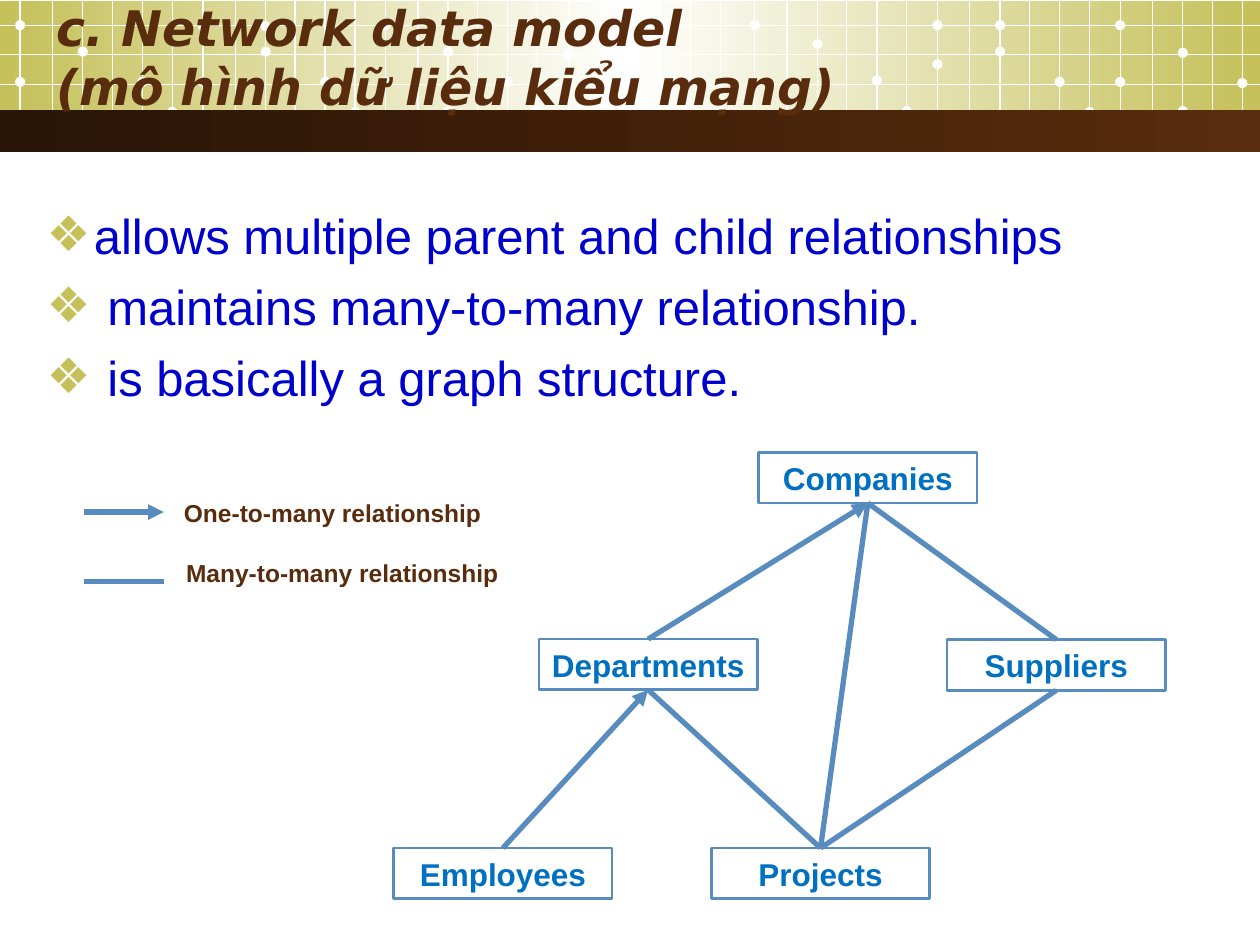
from dataclasses import dataclass

from lxml import etree
from pptx import Presentation
from pptx import util as u
from pptx.dml import color
from pptx.enum import shapes, text
from pptx.oxml import ns

Pt = u.Pt


@dataclass(frozen=True)
class Theme:
    """Colours, fonts and sizes of the slide."""
    olive: str = "C5C059"
    white: str = "FFFFFF"
    dark: str = "291406"
    brown: str = "592C0D"
    bullet_text: str = "0000CC"
    steel: str = "588CBF"
    node_text: str = "0070C0"
    heading_font: str = "DejaVu Sans"
    body_font: str = "Arial"
    large: int = 28
    medium: int = 18
    small: int = 14


THEME = Theme()

TITLE = "c. Network data model\v(mô hình dữ liệu kiểu mạng)"
BULLETS = [
    "allows multiple parent and child relationships",
    " maintains many-to-many relationship.",
    " is basically a graph structure.",
]
NODES = {  # name: (left, top)
    "Companies": (433.5, 258.5),
    "Departments": (308, 365.2),
    "Suppliers": (541.2, 365.5),
    "Employees": (225, 484.6),
    "Projects": (406.5, 484.6),
}
NODE_SIZE = (124.8, 29)
EDGES = [  # parent, child, arrow at the parent
    ("Companies", "Departments", True),
    ("Departments", "Employees", True),
    ("Departments", "Projects", False),
    ("Companies", "Suppliers", False),
    ("Companies", "Projects", False),
    ("Suppliers", "Projects", False),
]
LEGEND = [  # label, label left, label top, line height, arrow
    ("One-to-many relationship", 98, 280.8, 292.6, True),
    ("Many-to-many relationship", 99.2, 315.4, 332.4, False),
]

# Header lattice: seven panels of six columns; dots sit on some columns.
PANELS = [  # panel left, dot heights
    (11.5, (46.8, 14.4, 29.5, 65.5, 46.8, 64)),
    (116, (46.8, 15, 29.5, 15, 46.8, 64)),
    (220.3, (46.8, 14.4, 29.5, 63.5, 46.8, 63.5)),
    (324.7, (31, 14.4, 30.2, 14.4, 46.8, 64)),
    (431.3, (47.5, 14.4, 25.2, 64, 46, 63.5)),
    (535.7, (36.7, 14.4, 29.5, 14.4, 46.8, 64)),
    (640.1, (46.8, 14.4, 30.2, 63.5, 47.5)),
]
COLUMNS = (0, 18.5, 35.8, 52.6, 69.8, 86.9)
DOT_COLUMNS = (0, 0, 2, 2, 4, 5)
ROWS = (14.4, 31, 48.2, 64)
DOT = 5.8


def rgb(value):
    """Turn a hex string into a colour."""
    return color.RGBColor.from_string(value)


def style(para, size, ink, font=THEME.body_font, bold=False, italic=False):
    """Format every run of a paragraph."""
    for span in para.runs:
        face = span.font
        face.name, face.size = font, Pt(size)
        face.bold, face.italic = bold, italic
        face.color.rgb = rgb(ink)


def add_box(parent, kind, left, top, width, height, fill=None):
    """Add a preset shape without shadow or outline."""
    box = parent.add_shape(kind, Pt(left), Pt(top), Pt(width), Pt(height))
    box.shadow.inherit = False
    box.line.fill.background()
    if fill:
        box.fill.solid()
        box.fill.fore_color.rgb = rgb(fill)
    else:
        box.fill.background()
    return box


def add_band(page, top, height, *colors):
    """Add a full-width band with evenly spaced gradient colours."""
    band = add_box(page.shapes, shapes.MSO_SHAPE.RECTANGLE, 0, top, 720, height)
    band.fill.gradient()
    band.fill.gradient_angle = 0
    stops = band.element.find(".//" + ns.qn("a:gsLst"))
    for stop in list(stops):
        stops.remove(stop)
    for index, value in enumerate(colors):
        position = 100000 * index // (len(colors) - 1)
        stop = etree.SubElement(stops, ns.qn("a:gs"), pos=str(position))
        etree.SubElement(stop, ns.qn("a:srgbClr"), val=value)


def add_line(parent, start, end, ink, width, arrow=False):
    """Add a straight line, with an optional arrowhead at its start."""
    line = parent.add_connector(shapes.MSO_CONNECTOR.STRAIGHT,
                                *(Pt(value) for value in (*start, *end)))
    line.line.color.rgb = rgb(ink)
    line.line.width = Pt(width)
    if arrow:
        outline = line.element.find(".//" + ns.qn("a:ln"))
        etree.SubElement(outline, ns.qn("a:headEnd"), type="triangle")
    etree.SubElement(line.element.spPr, ns.qn("a:effectLst"))
    return line


def add_header(page):
    """Draw the header bands with the lattice between them."""
    add_band(page, 0.7, 73.4, THEME.olive, THEME.white, THEME.olive)
    lattice = page.shapes.add_group_shape().shapes
    for left, heights in PANELS:
        for column, middle in zip(DOT_COLUMNS, heights):
            add_box(lattice, shapes.MSO_SHAPE.OVAL, left + COLUMNS[column] - DOT / 2,
                    middle - DOT / 2, DOT, DOT, THEME.white)
        for step in COLUMNS[:len(heights)]:
            add_line(lattice, (left + step, 0), (left + step, 79), THEME.white, 0.74)
    for row in ROWS:
        add_line(lattice, (0, row), (720, row), THEME.white, 0.74)
    add_band(page, 63, 24, THEME.dark, THEME.brown)


def place(page, holder, left, top, width, height, anchor):
    """Move a placeholder to its spot in front of the header."""
    holder.left, holder.top = Pt(left), Pt(top)
    holder.width, holder.height = Pt(width), Pt(height)
    holder.text_frame.auto_size = text.MSO_AUTO_SIZE.NONE
    holder.text_frame.vertical_anchor = anchor
    page.shapes.element.append(holder.element)


def add_texts(page):
    """Fill the title and the bullet list."""
    title, body = page.shapes.title, page.placeholders[1]
    place(page, title, 25.2, 3.6, 658, 57, text.MSO_ANCHOR.MIDDLE)
    title.text_frame.text = TITLE
    heading = title.text_frame.paragraphs[0]
    heading.alignment = text.PP_ALIGN.LEFT
    style(heading, THEME.large, THEME.brown, THEME.heading_font, True, True)

    place(page, body, 19.4, 113.8, 676, 411, text.MSO_ANCHOR.TOP)
    body.text_frame.text = "\n".join(BULLETS)
    for para in body.text_frame.paragraphs:
        para.space_before = Pt(7)
        style(para, THEME.large, THEME.bullet_text)
        props = para._p.get_or_add_pPr()
        props.set("marL", str(Pt(27)))
        props.set("indent", str(-Pt(27)))
        ink = etree.SubElement(props, ns.qn("a:buClr"))
        etree.SubElement(ink, ns.qn("a:srgbClr"), val=THEME.olive)
        etree.SubElement(props, ns.qn("a:buChar"), char="❖")


def add_graph(page):
    """Draw the entity boxes and join them bottom to top."""
    boxes = {}
    for name, (left, top) in NODES.items():
        box = add_box(page.shapes, shapes.MSO_SHAPE.RECTANGLE, left, top, *NODE_SIZE)
        box.line.color.rgb = rgb(THEME.steel)
        box.line.width = Pt(1.5)
        box.text_frame.text = name
        box.text_frame.word_wrap = False
        para = box.text_frame.paragraphs[0]
        para.alignment = text.PP_ALIGN.CENTER
        style(para, THEME.medium, THEME.node_text, bold=True)
        boxes[name] = box
    for parent, child, arrow in EDGES:
        edge = add_line(page.shapes, (0, 0), (0, 0), THEME.steel, 3, arrow)
        edge.begin_connect(boxes[parent], 2)
        edge.end_connect(boxes[child], 0)


def add_legend(page):
    """Explain the two kinds of line."""
    for label, left, top, middle, arrow in LEGEND:
        add_line(page.shapes, (93.6, middle), (48, middle), THEME.steel, 3, arrow)
        box = page.shapes.add_textbox(Pt(left), Pt(top), Pt(262), Pt(24.5))
        box.text_frame.word_wrap = True
        box.text_frame.text = label
        style(box.text_frame.paragraphs[0], THEME.small, THEME.brown, bold=True)


deck = Presentation()
deck.slide_width, deck.slide_height = Pt(720), Pt(540)
page = deck.slides.add_slide(deck.slide_layouts[1])
add_header(page)
add_texts(page)
add_graph(page)
add_legend(page)
deck.save("out.pptx")
